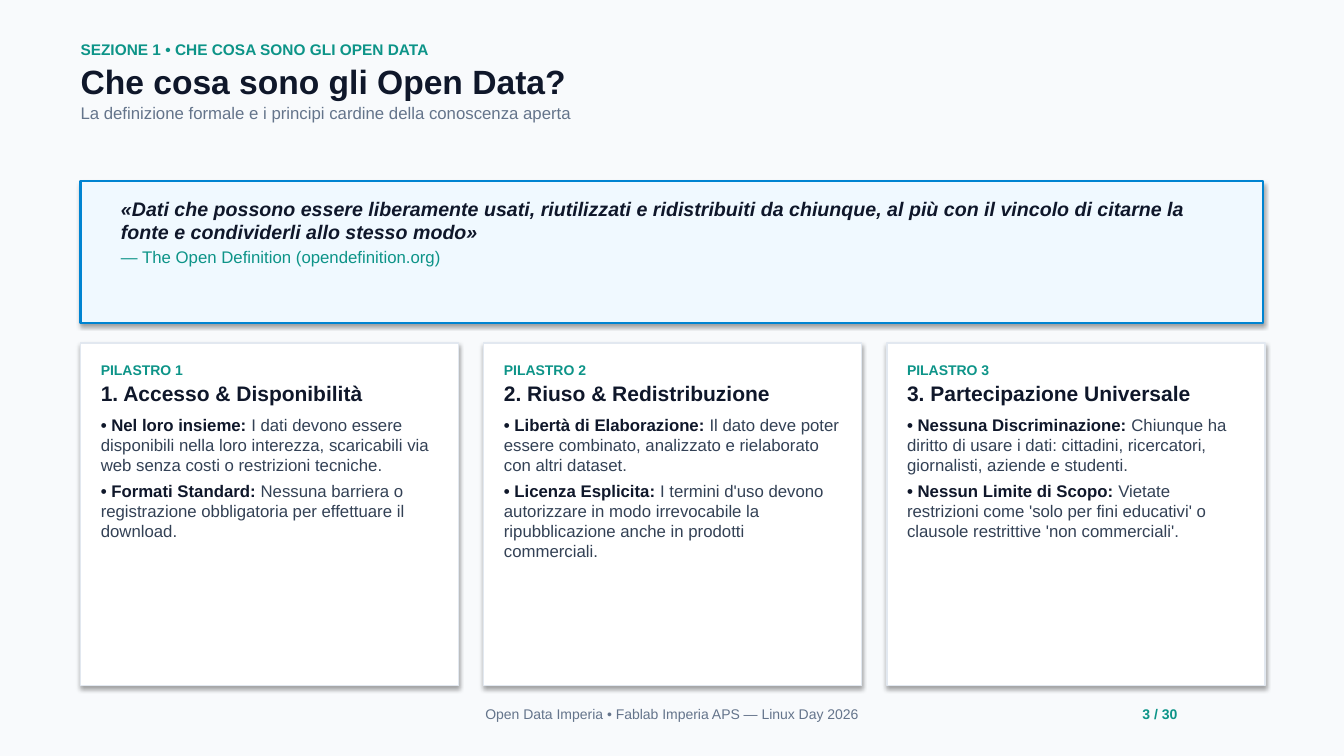
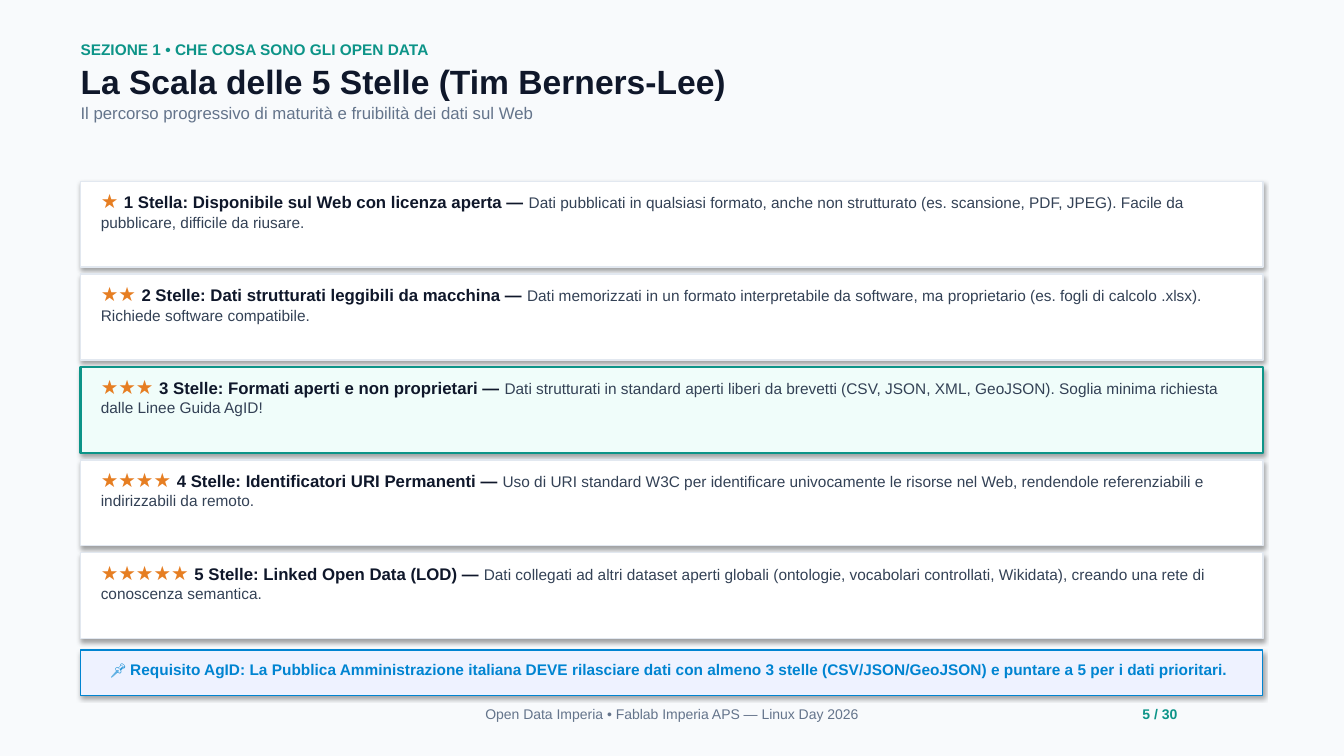
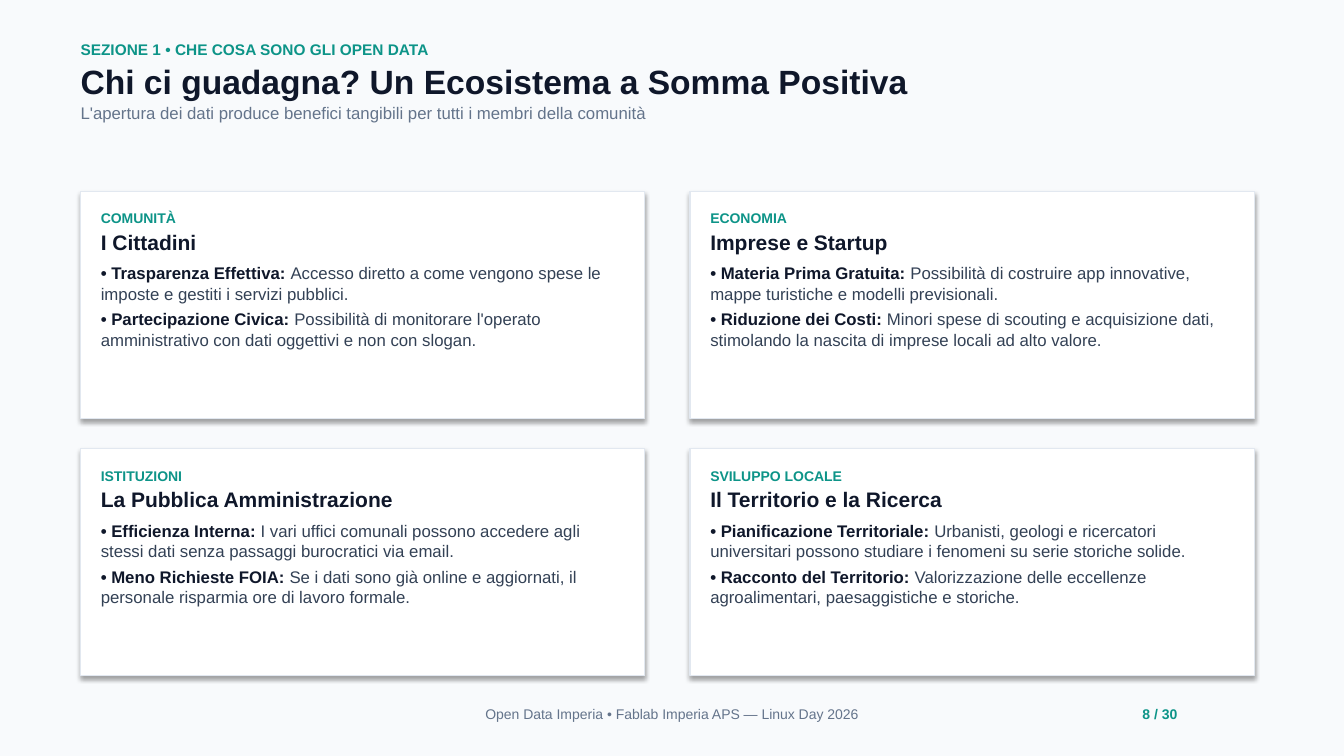
from pptx import Presentation
from pptx.dml.color import RGBColor
from pptx.enum.shapes import MSO_SHAPE
from pptx.enum.text import MSO_ANCHOR, MSO_AUTO_SIZE, PP_ALIGN
from pptx.util import Cm, Pt

RECT = MSO_SHAPE.RECTANGLE
TOP = MSO_ANCHOR.TOP
NO_FIT = MSO_AUTO_SIZE.NONE
LEFT, CENTER, RIGHT = PP_ALIGN.LEFT, PP_ALIGN.CENTER, PP_ALIGN.RIGHT

# Shared look
FONT = "Arial"
COLORS = {
    "page": "F8FAFC", "white": "FFFFFF", "border": "E2E8F0",
    "ink": "0F172A", "text": "334155", "muted": "64748B",
    "teal": "0D9488", "mint": "F0FDFA", "blue": "0084D1",
    "sky": "F0F9FF", "lavender": "EEF2FF", "orange": "E67E22",
}
# Text styles: size, colour, bold, italic
STYLES = {
    "kicker": (11, "teal", True, False),
    "title": (24, "ink", True, False),
    "subtitle": (12, "muted", False, False),
    "quote": (14, "ink", True, True),
    "source": (12, "teal", False, False),
    "label": (10, "teal", True, False),
    "heading": (15, "ink", True, False),
    "lead": (12, "ink", True, False),
    "body": (12, "text", False, False),
    "stars": (14, "orange", True, False),
    "detail": (11, "text", False, False),
    "notice": (11, "blue", True, False),
    "footer": (10, "muted", False, False),
    "page": (10, "teal", True, False),
}
# Card styles: fill, line colour, line width
CARDS = {
    "plain": ("white", "border", 1),
    "quote": ("sky", "blue", 1.5),
    "highlight": ("mint", "teal", 1.5),
    "notice": ("lavender", "blue", 0.75),
}
MARGIN, WIDTH = 2.03, 29.8  # cm

# Content
SECTION = "SEZIONE 1 • CHE COSA SONO GLI OPEN DATA"
FOOTER = "Open Data Imperia • Fablab Imperia APS — Linux Day 2026"
TOTAL = 30

QUOTE = ("«Dati che possono essere liberamente usati, riutilizzati e ridistribuiti da chiunque, "
         "al più con il vincolo di citarne la fonte e condividerli allo stesso modo»")
QUOTE_SOURCE = "— The Open Definition (opendefinition.org)"

# Label, heading, points (lead, body)
PILLARS = [
    ("PILASTRO 1", "1. Accesso & Disponibilità", [
        ("Nel loro insieme:", "I dati devono essere disponibili nella loro interezza, "
         "scaricabili via web senza costi o restrizioni tecniche."),
        ("Formati Standard:", "Nessuna barriera o registrazione obbligatoria per effettuare "
         "il download."),
    ]),
    ("PILASTRO 2", "2. Riuso & Redistribuzione", [
        ("Libertà di Elaborazione:", "Il dato deve poter essere combinato, analizzato e "
         "rielaborato con altri dataset."),
        ("Licenza Esplicita:", "I termini d'uso devono autorizzare in modo irrevocabile la "
         "ripubblicazione anche in prodotti commerciali."),
    ]),
    ("PILASTRO 3", "3. Partecipazione Universale", [
        ("Nessuna Discriminazione:", "Chiunque ha diritto di usare i dati: cittadini, "
         "ricercatori, giornalisti, aziende e studenti."),
        ("Nessun Limite di Scopo:", "Vietate restrizioni come 'solo per fini educativi' o "
         "clausole restrittive 'non commerciali'."),
    ]),
]

LEVELS = [
    ("1 Stella: Disponibile sul Web con licenza aperta",
     "Dati pubblicati in qualsiasi formato, anche non strutturato (es. scansione, PDF, JPEG). "
     "Facile da pubblicare, difficile da riusare."),
    ("2 Stelle: Dati strutturati leggibili da macchina",
     "Dati memorizzati in un formato interpretabile da software, ma proprietario "
     "(es. fogli di calcolo .xlsx). Richiede software compatibile."),
    ("3 Stelle: Formati aperti e non proprietari",
     "Dati strutturati in standard aperti liberi da brevetti (CSV, JSON, XML, GeoJSON). "
     "Soglia minima richiesta dalle Linee Guida AgID!"),
    ("4 Stelle: Identificatori URI Permanenti",
     "Uso di URI standard W3C per identificare univocamente le risorse nel Web, rendendole "
     "referenziabili e indirizzabili da remoto."),
    ("5 Stelle: Linked Open Data (LOD)",
     "Dati collegati ad altri dataset aperti globali (ontologie, vocabolari controllati, "
     "Wikidata), creando una rete di conoscenza semantica."),
]
MINIMUM_LEVEL = 3
NOTICE = ("📌 Requisito AgID: La Pubblica Amministrazione italiana DEVE rilasciare dati con almeno "
          "3 stelle (CSV/JSON/GeoJSON) e puntare a 5 per i dati prioritari.")

BENEFITS = [
    ("COMUNITÀ", "I Cittadini", [
        ("Trasparenza Effettiva:", "Accesso diretto a come vengono spese le imposte e gestiti "
         "i servizi pubblici."),
        ("Partecipazione Civica:", "Possibilità di monitorare l'operato amministrativo con dati "
         "oggettivi e non con slogan."),
    ]),
    ("ECONOMIA", "Imprese e Startup", [
        ("Materia Prima Gratuita:", "Possibilità di costruire app innovative, mappe turistiche "
         "e modelli previsionali."),
        ("Riduzione dei Costi:", "Minori spese di scouting e acquisizione dati, stimolando la "
         "nascita di imprese locali ad alto valore."),
    ]),
    ("ISTITUZIONI", "La Pubblica Amministrazione", [
        ("Efficienza Interna:", "I vari uffici comunali possono accedere agli stessi dati senza "
         "passaggi burocratici via email."),
        ("Meno Richieste FOIA:", "Se i dati sono già online e aggiornati, il personale risparmia "
         "ore di lavoro formale."),
    ]),
    ("SVILUPPO LOCALE", "Il Territorio e la Ricerca", [
        ("Pianificazione Territoriale:", "Urbanisti, geologi e ricercatori universitari possono "
         "studiare i fenomeni su serie storiche solide."),
        ("Racconto del Territorio:", "Valorizzazione delle eccellenze agroalimentari, "
         "paesaggistiche e storiche."),
    ]),
]


# Helpers
def rgb(name):
    return RGBColor.from_string(COLORS[name])


def write(tf, paragraphs, inset=(0, 0), align=LEFT):
    """Fill a frame with paragraphs given as (space after, [(style, text), ...])."""
    tf.word_wrap = True
    tf.auto_size = NO_FIT
    tf.vertical_anchor = TOP
    tf.margin_left = tf.margin_right = Cm(inset[0])
    tf.margin_top, tf.margin_bottom = Cm(inset[1]), 0
    for i, (after, runs) in enumerate(paragraphs):
        p = tf.add_paragraph() if i else tf.paragraphs[0]
        p.alignment = align
        p.space_after = Pt(after)
        for style, text in runs:
            size, color, bold, italic = STYLES[style]
            r = p.add_run()
            r.text = text
            r.font.name, r.font.size = FONT, Pt(size)
            r.font.bold, r.font.italic = bold, italic
            r.font.color.rgb = rgb(color)


def add_line(s, style, text, x, y, w, h, align=LEFT):
    sp = s.shapes.add_textbox(Cm(x), Cm(y), Cm(w), Cm(h))
    write(sp.text_frame, [(0, [(style, text)])], align=align)


def add_card(s, x, y, w, h, paragraphs, inset, kind="plain"):
    """Draw a card that keeps the soft shadow of the theme."""
    fill, line, width = CARDS[kind]
    sp = s.shapes.add_shape(RECT, Cm(x), Cm(y), Cm(w), Cm(h))
    sp.fill.solid()
    sp.fill.fore_color.rgb = rgb(fill)
    sp.line.color.rgb = rgb(line)
    sp.line.width = Pt(width)
    write(sp.text_frame, paragraphs, inset)


def add_topic_grid(s, topics, columns, top, size, pitch):
    for i, (label, heading, points) in enumerate(topics):
        row, col = divmod(i, columns)
        paragraphs = [(2, [("label", label)]), (6, [("heading", heading)])]
        paragraphs += [(4, [("lead", f"• {lead} "), ("body", body)]) for lead, body in points]
        add_card(s, MARGIN + col * pitch[0], top + row * pitch[1], *size,
                 paragraphs, (0.51, 0.46))


def new_slide(prs, number, title, subtitle):
    s = prs.slides.add_slide(prs.slide_layouts[5])
    add_line(s, "kicker", SECTION, MARGIN, 1.02, WIDTH, 0.45)
    sp = s.shapes.title
    sp.left, sp.top, sp.width, sp.height = Cm(MARGIN), Cm(1.53), Cm(WIDTH), Cm(1)
    write(sp.text_frame, [(0, [("title", title)])])
    add_line(s, "subtitle", subtitle, MARGIN, 2.58, WIDTH, 0.5)
    add_line(s, "footer", FOOTER, MARGIN, 17.78, WIDTH, 0.43, CENTER)
    add_line(s, "page", f"{number} / {TOTAL}", 26.67, 17.78, 3, 0.43, RIGHT)
    return s


# Slides
def definition_slide(prs):
    s = new_slide(prs, 3, "Che cosa sono gli Open Data?",
                  "La definizione formale e i principi cardine della conoscenza aperta")
    add_card(s, MARGIN, 4.57, WIDTH, 3.56,
             [(2, [("quote", QUOTE)]), (0, [("source", QUOTE_SOURCE)])], (1.02, 0.38), "quote")
    add_topic_grid(s, PILLARS, 3, 8.64, (9.53, 8.64), (10.16, 0))


def stars_slide(prs):
    s = new_slide(prs, 5, "La Scala delle 5 Stelle (Tim Berners-Lee)",
                  "Il percorso progressivo di maturità e fruibilità dei dati sul Web")
    for level, (name, detail) in enumerate(LEVELS, 1):
        runs = [("stars", "★" * level + " "), ("lead", f"{name} — "), ("detail", detail)]
        kind = "highlight" if level == MINIMUM_LEVEL else "plain"
        add_card(s, MARGIN, 4.57 + (level - 1) * 2.34, WIDTH, 2.16,
                 [(0, runs)], (0.51, 0.2), kind)
    add_card(s, MARGIN, 16.38, WIDTH, 1.14, [(0, [("notice", NOTICE)])], (0.76, 0.25), "notice")


def benefits_slide(prs):
    s = new_slide(prs, 8, "Chi ci guadagna? Un Ecosistema a Somma Positiva",
                  "L'apertura dei dati produce benefici tangibili per tutti i membri della comunità")
    add_topic_grid(s, BENEFITS, 2, 4.83, (14.22, 5.72), (15.36, 6.48))


def main():
    prs = Presentation()
    prs.slide_width, prs.slide_height = Cm(33.87), Cm(19.05)
    background = prs.slide_master.background.fill
    background.solid()
    background.fore_color.rgb = rgb("page")
    definition_slide(prs)
    stars_slide(prs)
    benefits_slide(prs)
    prs.save("out.pptx")


if __name__ == "__main__":
    main()
